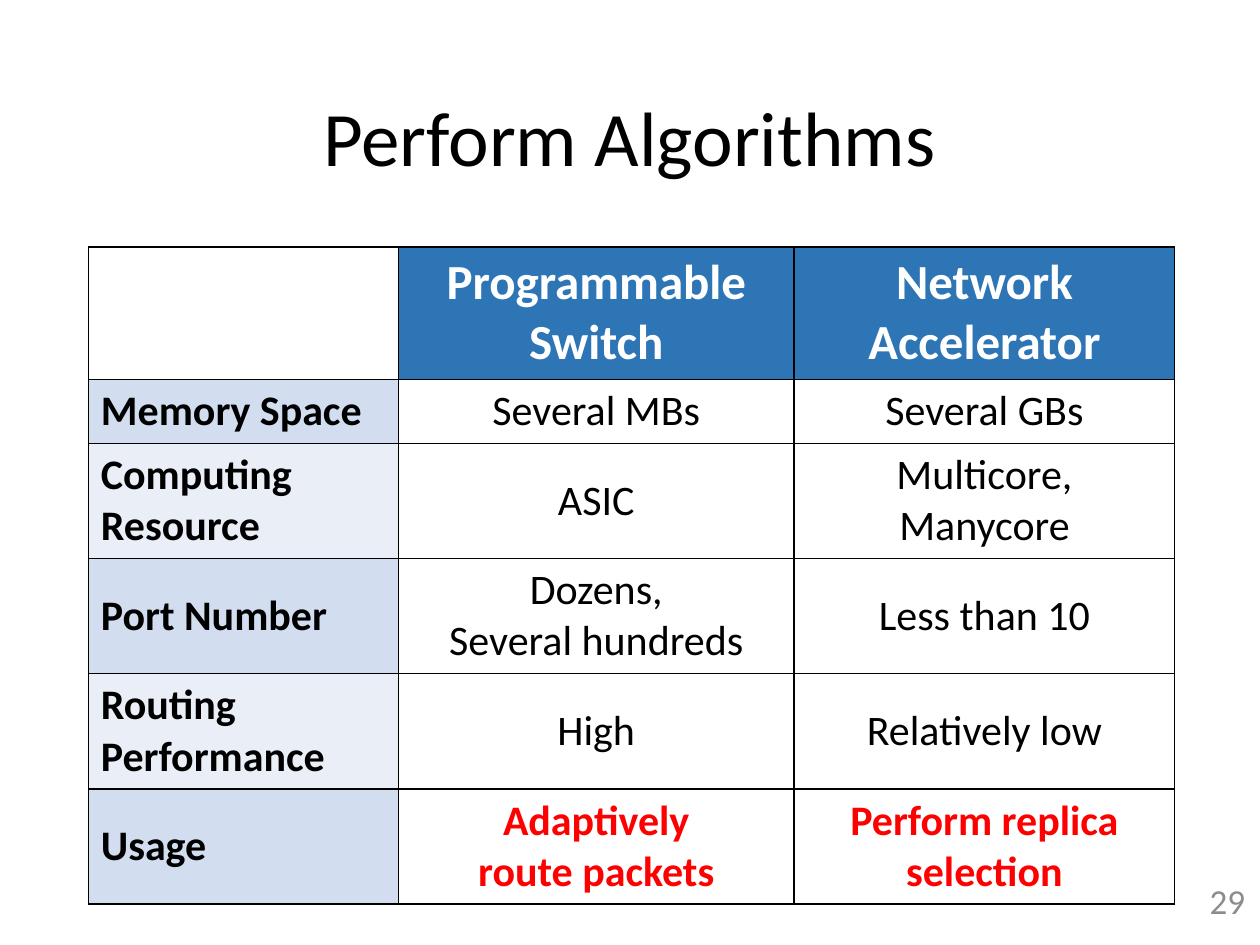
from dataclasses import dataclass

from lxml import etree
from pptx import Presentation
from pptx.dml.color import RGBColor
from pptx.enum.text import MSO_ANCHOR, PP_ALIGN
from pptx.oxml.ns import qn
from pptx.util import Cm, Pt

LEFT, CENTER, RIGHT = PP_ALIGN.LEFT, PP_ALIGN.CENTER, PP_ALIGN.RIGHT
TOP, MIDDLE = MSO_ANCHOR.TOP, MSO_ANCHOR.MIDDLE


@dataclass(frozen=True)
class Theme:
    font: str = "Calibri"
    title_size: int = 44
    header_size: int = 28
    body_size: int = 24
    number_size: int = 20
    black: str = "000000"
    white: str = "FFFFFF"
    red: str = "FF0000"
    gray: str = "8C8C8C"
    header_fill: str = "2E75B6"
    label_fills: tuple = ("D2DEEF", "EAEFF7")
    border_width: int = 1


@dataclass(frozen=True)
class TextStyle:
    size: int
    color: str
    bold: bool = False
    align: PP_ALIGN = CENTER
    line_spacing: float = 1.0


@dataclass(frozen=True)
class Row:
    label: str
    switch: str
    accelerator: str
    height: float
    highlighted: bool = False


THEME = Theme()
TITLE = TextStyle(THEME.title_size, THEME.black, line_spacing=0.9)
HEADER = TextStyle(THEME.header_size, THEME.white, bold=True)
LABEL = TextStyle(THEME.body_size, THEME.black, bold=True, align=LEFT)
VALUE = TextStyle(THEME.body_size, THEME.black)
HIGHLIGHT = TextStyle(THEME.body_size, THEME.red, bold=True)
NUMBER = TextStyle(THEME.number_size, THEME.gray, align=RIGHT)

COLUMN_WIDTHS = (6.25, 7.98, 7.67)
HEADER_ROW = Row("", "Programmable Switch", "Network Accelerator", 2.67)
BODY_ROWS = (
    Row("Memory Space", "Several MBs", "Several GBs", 1.27),
    Row("Computing Resource", "ASIC", "Multicore,\nManycore", 2.32),
    Row("Port Number", "Dozens,\nSeveral hundreds", "Less than 10", 2.32),
    Row("Routing Performance", "High", "Relatively low", 2.32),
    Row("Usage", "Adaptively\nroute packets", "Perform replica selection", 2.32, True),
)


def write_text(text_frame, text: str, style: TextStyle) -> None:
    text_frame.text = text
    for paragraph in text_frame.paragraphs:
        paragraph.alignment = style.align
        paragraph.line_spacing = style.line_spacing
        for run in paragraph.runs:
            run.font.name = THEME.font
            run.font.size = Pt(style.size)
            run.font.bold = style.bold
            run.font.color.rgb = RGBColor.from_string(style.color)


def add_text(slide, text: str, box: tuple, style: TextStyle) -> None:
    shape = slide.shapes.add_textbox(*map(Cm, box))
    shape.text_frame.word_wrap = True
    shape.text_frame.vertical_anchor = MIDDLE
    write_text(shape.text_frame, text, style)


def add_borders(cell) -> None:
    properties = cell._tc.get_or_add_tcPr()
    for position, side in enumerate(("lnL", "lnR", "lnT", "lnB")):
        line = etree.Element(qn(f"a:{side}"), w=str(Pt(THEME.border_width)))
        fill = etree.SubElement(line, qn("a:solidFill"))
        etree.SubElement(fill, qn("a:srgbClr"), val=THEME.black)
        properties.insert(position, line)


def fill_cell(cell, text: str, style: TextStyle, color: str, anchor: MSO_ANCHOR) -> None:
    write_text(cell.text_frame, text, style)
    cell.vertical_anchor = anchor
    cell.fill.solid()
    cell.fill.fore_color.rgb = RGBColor.from_string(color)
    add_borders(cell)


def add_comparison_table(slide, left: float, top: float) -> None:
    rows = (HEADER_ROW, *BODY_ROWS)
    height = sum(row.height for row in rows)
    table = slide.shapes.add_table(
        len(rows), len(COLUMN_WIDTHS), Cm(left), Cm(top), Cm(sum(COLUMN_WIDTHS)), Cm(height)
    ).table
    table.first_row = table.horz_banding = False
    for column, width in zip(table.columns, COLUMN_WIDTHS):
        column.width = Cm(width)

    for index, row in enumerate(rows):
        table.rows[index].height = Cm(row.height)
        if row is HEADER_ROW:
            label_fill, value_fill, value_style, anchor = THEME.white, THEME.header_fill, HEADER, TOP
        else:
            label_fill = THEME.label_fills[(index - 1) % 2]
            value_fill, anchor = THEME.white, MIDDLE
            value_style = HIGHLIGHT if row.highlighted else VALUE
        fill_cell(table.cell(index, 0), row.label, LABEL, label_fill, anchor)
        for column, text in enumerate((row.switch, row.accelerator), start=1):
            fill_cell(table.cell(index, column), text, value_style, value_fill, anchor)


def main() -> None:
    presentation = Presentation()
    presentation.slide_width, presentation.slide_height = Cm(25.4), Cm(19.05)
    slide = presentation.slides.add_slide(presentation.slide_layouts[6])

    # Comparison of the two devices
    add_comparison_table(slide, 1.78, 4.98)

    # Title and slide number
    add_text(slide, "Perform Algorithms", (1.75, 1.02, 21.9, 3.68), TITLE)
    add_text(slide, "29", (19.63, 17.65, 5.72, 1.02), NUMBER)

    presentation.save("out.pptx")


if __name__ == "__main__":
    main()
